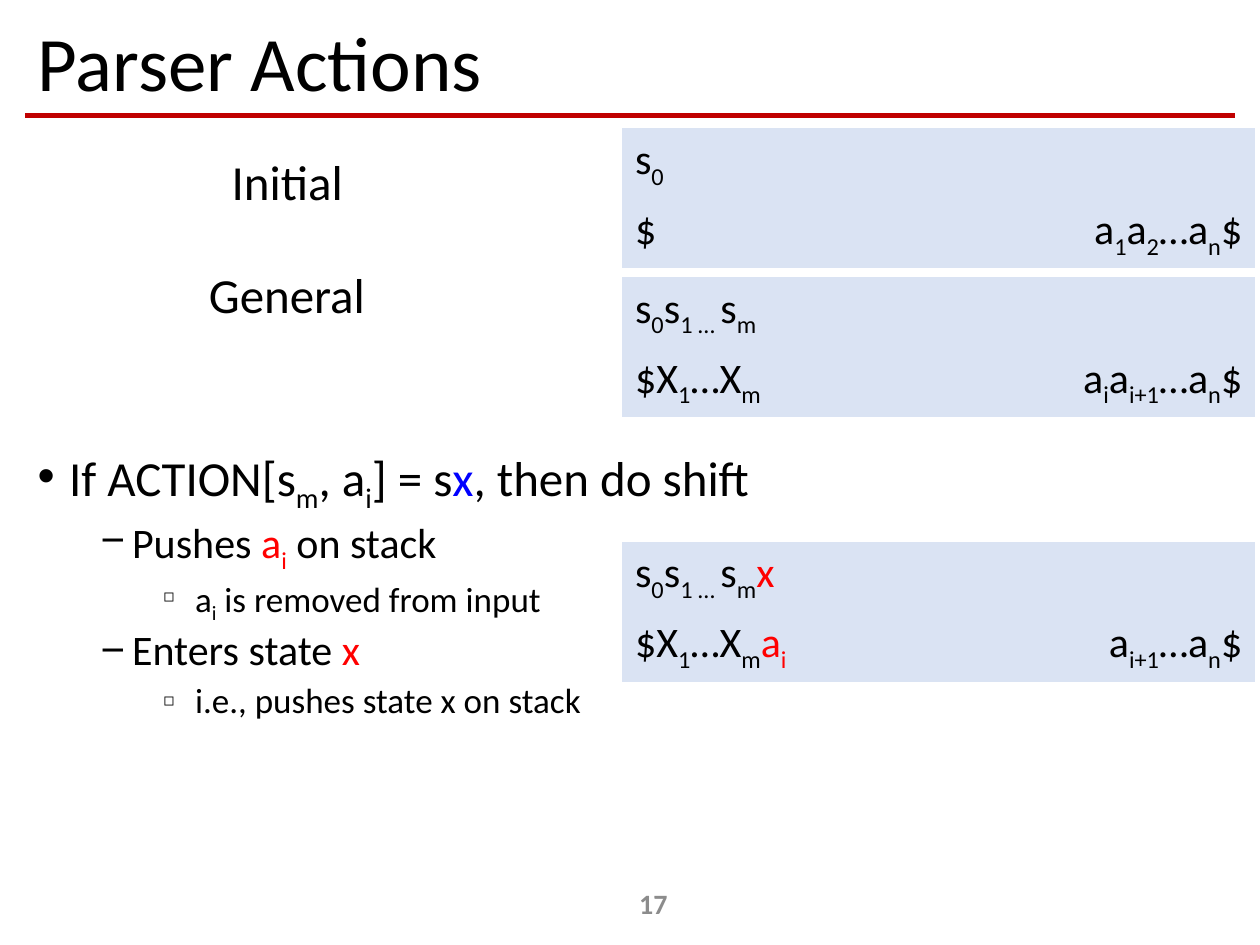
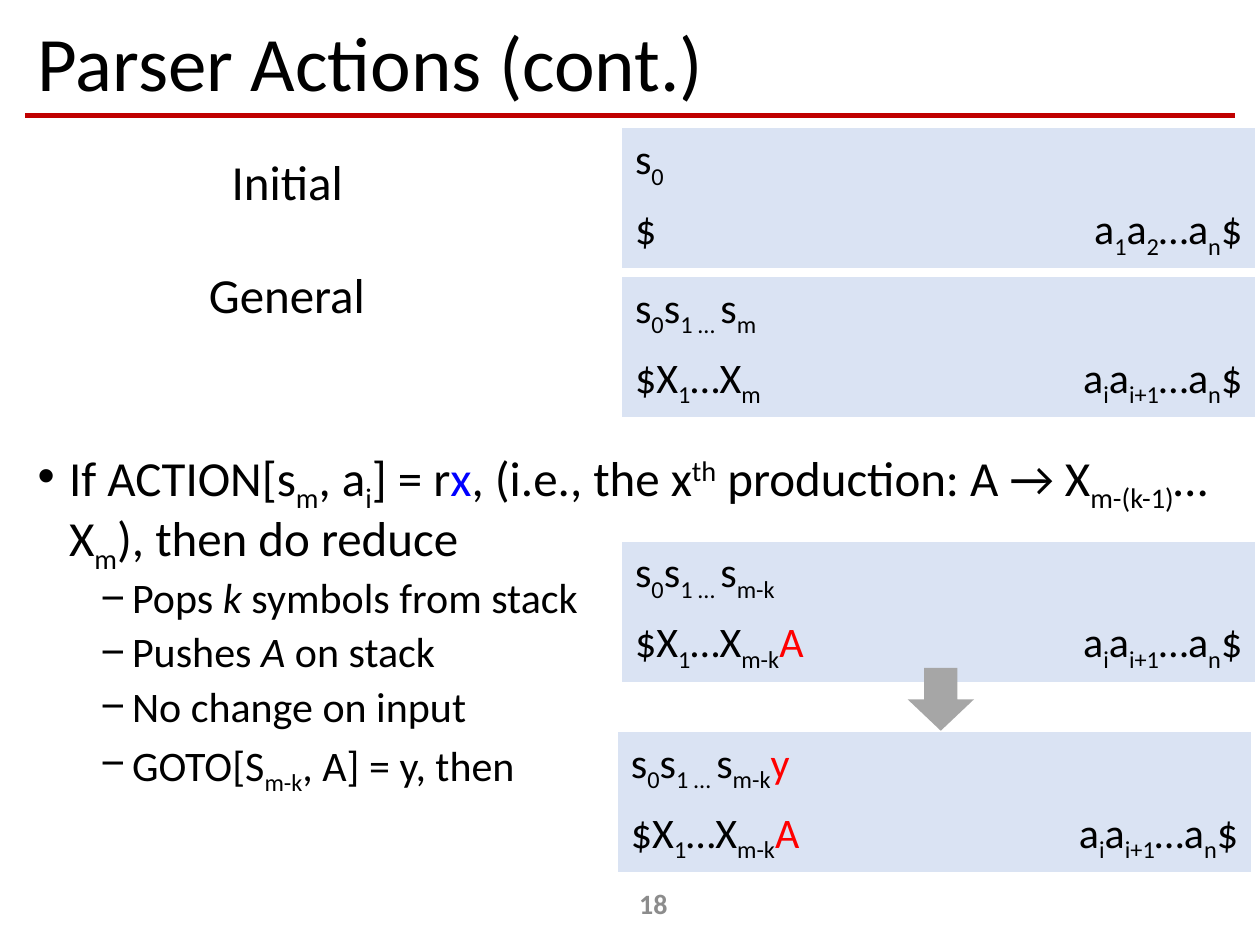
from lxml import etree
from pptx import Presentation
from pptx.dml.color import RGBColor
from pptx.enum.shapes import MSO_CONNECTOR, MSO_SHAPE
from pptx.enum.text import MSO_ANCHOR, PP_ALIGN
from pptx.oxml.ns import qn
from pptx.util import Pt

STRAIGHT = MSO_CONNECTOR.STRAIGHT
DOWN_ARROW = MSO_SHAPE.DOWN_ARROW
TOP, MIDDLE = MSO_ANCHOR.TOP, MSO_ANCHOR.MIDDLE
LEFT, CENTER, RIGHT = PP_ALIGN.LEFT, PP_ALIGN.CENTER, PP_ALIGN.RIGHT

FONT = "Calibri"
BLACK = RGBColor(0x00, 0x00, 0x00)
RED = RGBColor(0xFF, 0x00, 0x00)
BLUE = RGBColor(0x00, 0x00, 0xFF)
RULE_RED = RGBColor(0xC0, 0x00, 0x00)
CELL_BLUE = RGBColor(0xDA, 0xE3, 0xF3)
ARROW_GRAY = RGBColor(0xA6, 0xA6, 0xA6)
NUMBER_GRAY = RGBColor(0x8C, 0x8C, 0x8C)

# Runs are parted by "|"; leading marks format a run:
# _ subscript, ^ superscript, ! red, @ blue, / italic
BASELINES = {"_": "-25000", "^": "30000"}
MARK_COLORS = {"!": RED, "@": BLUE}

# Outline levels: indent, size, space before, bullet, bullet size
LEVELS = [
    (18, 28, 10, "•", 100),
    (54, 24, 5, "−", 100),
    (90, 20, 5, "◻", 50),
]

# Parser configurations: left, top, states, symbols, remaining input
TABLE_LEFT = 355.7
STATES = "s|_0|s|_1 … |s|"
INPUT = "a|_i|a|_i+1|…a|_n|$"
COMMON_TABLES = [
    (TABLE_LEFT, 73.4, "s|_0", "$", "a|_1|a|_2|…a|_n|$"),
    (TABLE_LEFT, 158.4, STATES + "_m", "$X|_1|…X|_m", INPUT),
]
REDUCED = "$X|_1|…X|_m-k|!A"

SLIDES = [
    {
        "title": "Parser Actions",
        "number": "17",
        "outline": [
            (0, "If ACTION[s|_m|, a|_i|] = s|@x|, then do shift"),
            (1, "Pushes |!a|!_i| on stack"),
            (2, "a|_i| is removed from input"),
            (1, "Enters state |!x"),
            (2, "i.e., pushes state x on stack"),
        ],
        "tables": [
            (TABLE_LEFT, 309.6, STATES + "_m|!x", "$X|_1|…X|_m|!a|!_i",
             "a|_i+1|…a|_n|$"),
        ],
        "arrow": False,
    },
    {
        "title": "Parser Actions (cont.)",
        "number": "18",
        "outline": [
            (0, "If ACTION[s|_m|, a|_i|] = r|@x|, (i.e., the x|^th| production: "
                "A → X|_m-(k-1)|…X|_m|), then do reduce"),
            (1, "Pops |/k| symbols from stack"),
            (1, "Pushes |/A| on stack"),
            (1, "No change on input"),
            (1, "GOTO[S|_m-k|, A] = y, then"),
        ],
        "tables": [
            (TABLE_LEFT, 309.6, STATES + "_m-k", REDUCED, INPUT),
            (353.3, 418.2, STATES + "_m-k|!y", REDUCED, INPUT),
        ],
        "arrow": True,
    },
]


def write(p, text, size=24, color=BLACK, bold=False, align=LEFT, spacing=1.0):
    p.alignment = align
    p.line_spacing = spacing
    for part in text.split("|"):
        r = p.add_run()
        r.font.name, r.font.size, r.font.bold = FONT, Pt(size), bold
        r.font.color.rgb = color
        while part[0] in "_^!@/":
            mark, part = part[0], part[1:]
            if mark in BASELINES:
                r._r.get_or_add_rPr().set("baseline", BASELINES[mark])
            elif mark in MARK_COLORS:
                r.font.color.rgb = MARK_COLORS[mark]
            else:
                r.font.italic = True
        r.text = part


def add_text_frame(s, left, top, width, height, anchor=TOP, wrap=True):
    tf = s.shapes.add_textbox(Pt(left), Pt(top), Pt(width), Pt(height)).text_frame
    tf.word_wrap = wrap
    tf.vertical_anchor = anchor
    return tf


prs = Presentation()
prs.slide_width, prs.slide_height = Pt(720), Pt(540)

for content in SLIDES:
    s = prs.slides.add_slide(prs.slide_layouts[6])

    # Title and the rule below it
    line = s.shapes.add_connector(STRAIGHT, Pt(14.4), Pt(66), Pt(705.6), Pt(66))
    line.line.color.rgb = RULE_RED
    line.line.width = Pt(2.5)
    etree.SubElement(line._element.spPr, qn("a:effectLst"))
    tf = add_text_frame(s, 14.4, 9.4, 692, 57, MIDDLE)
    write(tf.paragraphs[0], content["title"], size=44, spacing=0.9)

    # Outline
    tf = add_text_frame(s, 14.4, 252.7, 692, 233.3)
    for i, (level, text) in enumerate(content["outline"]):
        indent, size, before, bullet, bullet_size = LEVELS[level]
        p = tf.add_paragraph() if i else tf.paragraphs[0]
        write(p, text, size=size, spacing=0.9)
        p.level = level
        p.space_before = Pt(before)
        pPr = p._p.get_or_add_pPr()
        pPr.set("marL", str(Pt(indent)))
        pPr.set("indent", str(Pt(-18)))
        etree.SubElement(pPr, qn("a:buSzPct"), val=str(bullet_size * 1000))
        etree.SubElement(pPr, qn("a:buFont"), typeface="Arial")
        etree.SubElement(pPr, qn("a:buChar"), char=bullet)

    # Slide number
    tf = add_text_frame(s, 292.3, 501.8, 162, 28.8, MIDDLE)
    write(tf.paragraphs[0], content["number"], size=16, color=NUMBER_GRAY,
          bold=True, align=CENTER)

    # Stack and input tables
    for left, top, states, symbols, remaining in COMMON_TABLES + content["tables"]:
        table = s.shapes.add_table(2, 2, Pt(left), Pt(top), Pt(361.4), Pt(36)).table
        table.first_row = table.horz_banding = False
        # Table style without borders
        table._tbl.tblPr[0].text = "{2D5ABB26-0587-4C30-8999-92F81FD0307C}"
        for cell in table.iter_cells():
            cell.fill.solid()
            cell.fill.fore_color.rgb = CELL_BLUE
        write(table.cell(0, 0).text_frame.paragraphs[0], states)
        write(table.cell(1, 0).text_frame.paragraphs[0], symbols)
        write(table.cell(1, 1).text_frame.paragraphs[0], remaining, align=RIGHT)

    # Table labels
    for label, left, top, width in [("Initial", 125.3, 82.8, 78.5),
                                    ("General", 112.3, 147.6, 104.4)]:
        tf = add_text_frame(s, left, top, width, 41, wrap=False)
        write(tf.paragraphs[0], label, size=28)

    # Arrow from the reduced stack to the new state
    if content["arrow"]:
        arrow = s.shapes.add_shape(DOWN_ARROW, Pt(518.6), Pt(381.6), Pt(38), Pt(36))
        arrow.shadow.inherit = False
        arrow.fill.solid()
        arrow.fill.fore_color.rgb = ARROW_GRAY
        arrow.line.fill.background()

prs.save("out.pptx")
